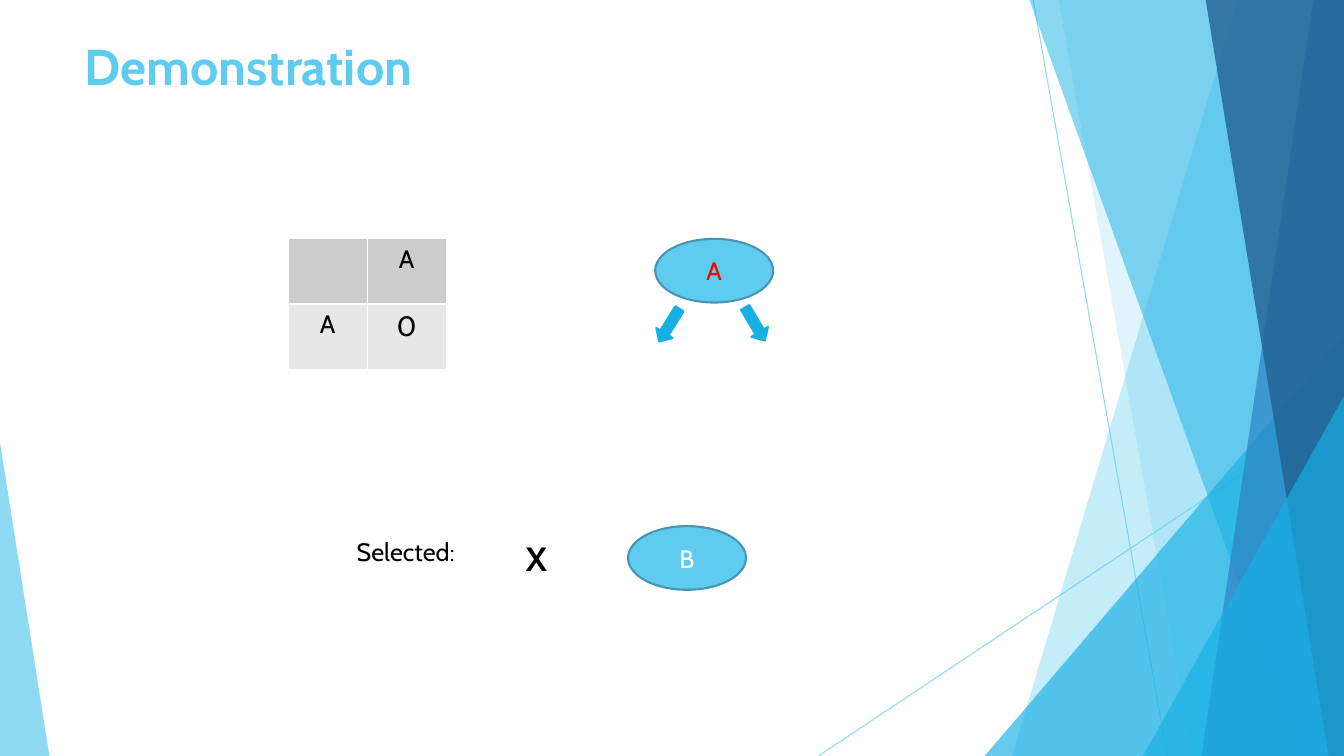
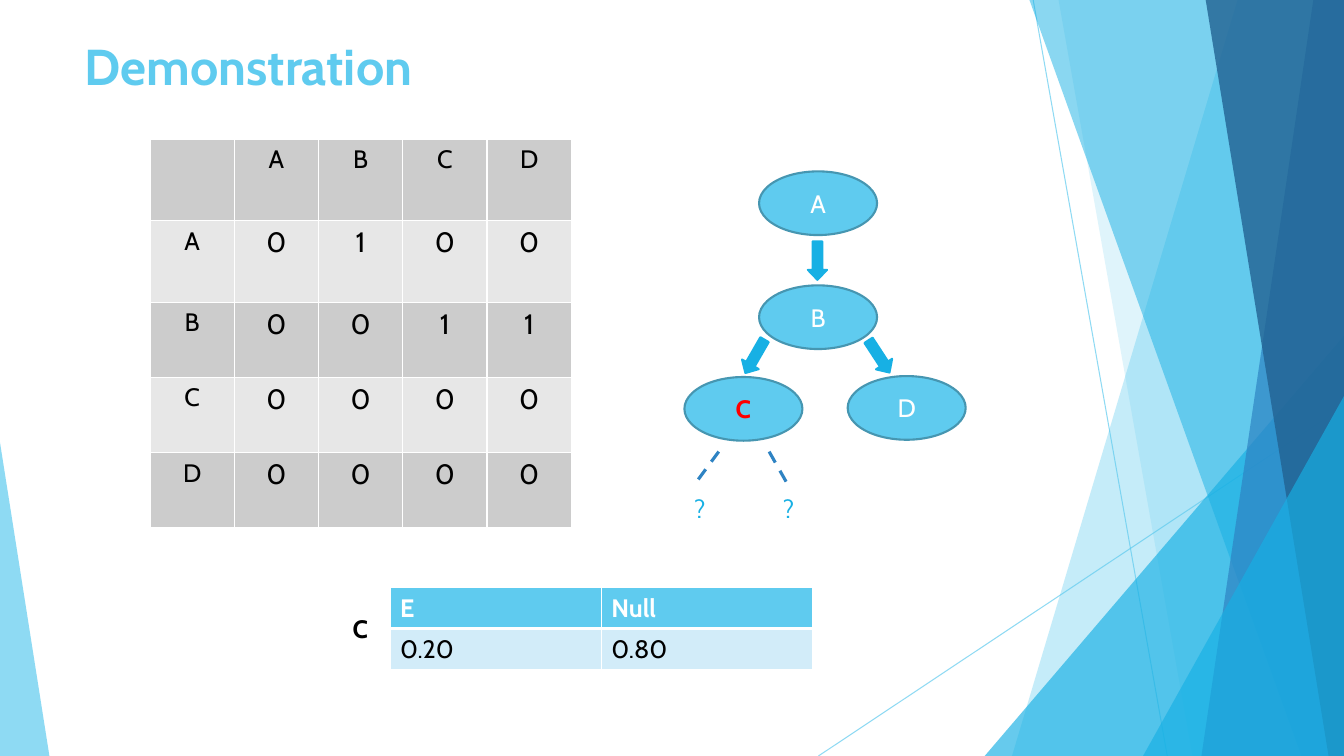
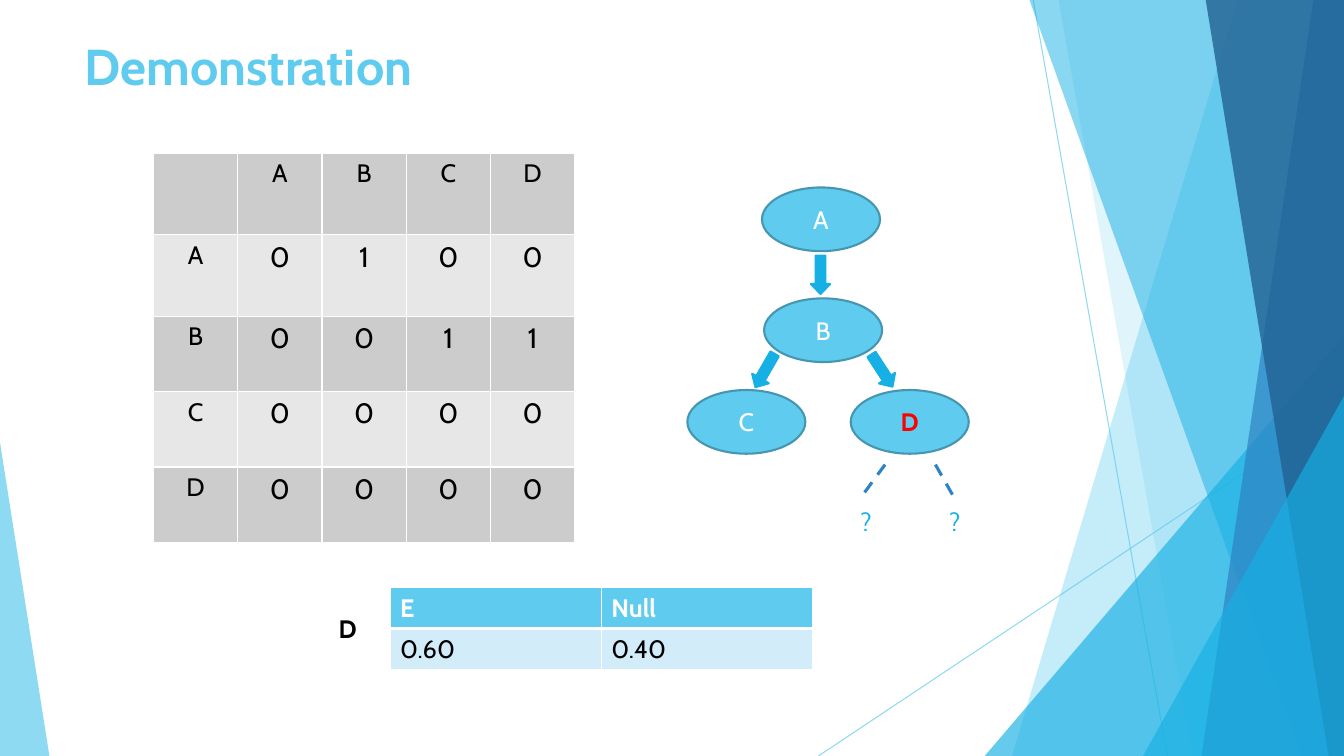
import pptx
import pptx.util
import pptx.dml.color
import pptx.enum.dml
import pptx.enum.shapes
import pptx.enum.text
import pptx.oxml
import pptx.oxml.ns
import lxml.etree

Pt = pptx.util.Pt
SHAPE = pptx.enum.shapes.MSO_SHAPE
ALIGN = pptx.enum.text.PP_ALIGN
ANCHOR = pptx.enum.text.MSO_ANCHOR
DASH = pptx.enum.dml.MSO_LINE
qn = pptx.oxml.ns.qn

WIDTH, HEIGHT = 960, 540
FONT = "Cabin"
COLORS = {
    "sky": "5FCBEF", "cyan": "17B0E4", "blue": "2E83C3", "navy": "226292",
    "outline": "4696B1", "dark_band": "CCCCCC", "light_band": "E7E7E7",
    "pale": "D2ECF9", "red": "FF0000", "black": "000000", "white": "FFFFFF",
}


def rgb(name):
    return pptx.dml.color.RGBColor.from_string(COLORS[name])


class Deck:
    """Holds the style and the current slide."""

    def __init__(self):
        self.prs = pptx.Presentation()
        self.prs.slide_width, self.prs.slide_height = Pt(WIDTH), Pt(HEIGHT)
        self.layout = self.prs.slide_layouts[5]
        self.has_backdrop = False

    def new_slide(self, title):
        self.s = self.prs.slides.add_slide(self.layout)
        if not self.has_backdrop:
            self.backdrop()
        sp = self.s.shapes.title
        sp.left, sp.top, sp.width, sp.height = Pt(53.3), Pt(21.6), Pt(676.8), Pt(103.7)
        self.put_text(sp.text_frame, title, 36, "sky", True, ALIGN.LEFT, ANCHOR.TOP)

    def put_text(self, tf, text, size, color, bold=False, align=ALIGN.LEFT, anchor=None):
        tf.text = text
        if anchor is not None:
            tf.vertical_anchor = anchor
        p = tf.paragraphs[0]
        p.alignment = align
        for r in p.runs:
            r.font.name, r.font.size, r.font.bold = FONT, Pt(size), bold
            r.font.color.rgb = rgb(color)

    def paint(self, sp, fill, line=None, alpha=None):
        sp.shadow.inherit = False
        sp.fill.solid()
        sp.fill.fore_color.rgb = rgb(fill)
        if line:
            sp.line.color.rgb = rgb(line)
            sp.line.width = Pt(1.5)
        else:
            sp.line.fill.background()
        if alpha:
            self.fade(sp, alpha)
        return sp

    def fade(self, sp, alpha):
        clr = sp.element.xpath(".//a:srgbClr")[0]
        lxml.etree.SubElement(clr, qn("a:alpha")).set("val", str(alpha * 1000))

    def line(self, x1, y1, x2, y2, color, width, dash=None):
        sp = self.s.shapes.add_connector(
            pptx.enum.shapes.MSO_CONNECTOR.STRAIGHT, Pt(x1), Pt(y1), Pt(x2), Pt(y2))
        sp.line.color.rgb = rgb(color)
        sp.line.width = Pt(width)
        if dash:
            sp.line.dash_style = dash
        lxml.etree.SubElement(sp.element.spPr, qn("a:effectLst"))
        return sp

    # Backdrop parts
    def shard(self, x_top, x_bottom, color, alpha):
        top = -0.7
        fb = self.s.shapes.build_freeform(Pt(x_top), Pt(top), scale=1.0)
        fb.add_line_segments([(Pt(x), Pt(y)) for x, y in
                              ((WIDTH, top), (WIDTH, HEIGHT), (x_bottom, HEIGHT))])
        return self.paint(fb.convert_to_shape(), color, alpha=alpha)

    def corner(self, x, y, w, apex, color, alpha):
        sp = self.s.shapes.add_shape(
            SHAPE.ISOSCELES_TRIANGLE, Pt(x), Pt(y), Pt(w), Pt(HEIGHT - y))
        sp.adjustments[0] = apex
        return self.paint(sp, color, alpha=alpha)

    def backdrop(self):
        """Draw the shared decoration and move it to the layout."""
        rays = [self.line(738, 0, 833.8, HEIGHT, "sky", 0.75),
                self.line(WIDTH, 290.2, 584.6, HEIGHT, "sky", 0.75)]
        for ray in rays:
            self.fade(ray, 70)
        parts = rays + [
            self.shard(884.2, 722.9, "sky", 36),
            self.shard(756, 851.8, "sky", 20),
            self.corner(703.4, 239.8, 256.6, 1, "cyan", 66),
            self.shard(735.1, 929.5, "cyan", 50),
            self.shard(938.2, 858.2, "blue", 70),
            self.shard(861.1, 949, "navy", 80),
            self.corner(816.5, 283, 143.5, 1, "cyan", 66),
            self.corner(0, 316.1, 35.3, 0, "sky", 70),
        ]
        tree = self.layout.shapes.element
        for i, sp in enumerate(parts):
            sp.element.xpath(".//p:cNvPr")[0].set("id", str(100 + i))
            tree.insert(2 + i, sp.element)
        self.has_backdrop = True

    # Content parts
    def node(self, x, y, text, selected=False, bold=False):
        sp = self.s.shapes.add_shape(SHAPE.OVAL, Pt(x), Pt(y), Pt(84.3), Pt(45.5))
        self.paint(sp, "sky", "outline")
        self.put_text(sp.text_frame, text, 18, "red" if selected else "white", bold,
                      ALIGN.CENTER, ANCHOR.MIDDLE)

    def arrow(self, x, y, rotation):
        sp = self.s.shapes.add_shape(SHAPE.LEFT_ARROW, Pt(x), Pt(y), Pt(27.4), Pt(13.7))
        sp.adjustments[1] = 0.52
        sp.rotation = rotation
        self.paint(sp, "cyan", "cyan")

    def label(self, x, y, w, h, text, size=18, color="black", bold=False, wrap=False):
        tf = self.s.shapes.add_textbox(Pt(x), Pt(y), Pt(w), Pt(h)).text_frame
        tf.word_wrap = wrap
        self.put_text(tf, text, size, color, bold)

    def table(self, x, y, col_width, row_heights, rows, style):
        """Fill a table; style(row, column) gives fill, bottom border and text format."""
        n = len(rows[0])
        tbl = self.s.shapes.add_table(len(rows), n, Pt(x), Pt(y), Pt(col_width * n),
                                      Pt(sum(row_heights))).table
        tbl.first_row = tbl.horz_banding = False
        for col in tbl.columns:
            col.width = Pt(col_width)
        for i, row in enumerate(rows):
            tbl.rows[i].height = Pt(row_heights[i])
            for j, text in enumerate(row):
                fill, bottom, text_format = style(i, j)
                cell = tbl.cell(i, j)
                self.borders(cell, bottom)
                cell.fill.solid()
                cell.fill.fore_color.rgb = rgb(fill)
                self.put_text(cell.text_frame, text, **text_format)

    def borders(self, cell, bottom):
        tcPr = cell._tc.get_or_add_tcPr()
        for side, width in (("L", 1), ("R", 1), ("T", 1), ("B", bottom)):
            ln = lxml.etree.SubElement(tcPr, qn("a:ln" + side), w=str(int(Pt(width))))
            fill = lxml.etree.SubElement(ln, qn("a:solidFill"))
            lxml.etree.SubElement(fill, qn("a:srgbClr"), val=COLORS["white"])

    def matrix(self, x, y, col_width, row_heights, names, values):
        """Adjacency matrix with node names along the top and the left."""
        def style(i, j):
            size = 20 if i and j else 18
            return (("light_band" if i % 2 else "dark_band"), 1,
                    dict(size=size, color="black", align=ALIGN.CENTER))
        rows = [["", *names]] + [[name, *line] for name, line in zip(names, values)]
        self.table(x, y, col_width, row_heights, rows, style)

    def chances(self, name, name_x, values):
        """Chance of each candidate child for the named node."""
        def style(i, j):
            if i == 0:
                return "sky", 3, dict(size=18, color="white", bold=True)
            return "pale", 1, dict(size=18, color="black")
        self.table(278.6, 419.8, 151, [29.2, 29.2], [["E", "Null"], values], style)
        self.label(name_x, 434.2, 26, 29, name, bold=True)

    def tree(self, nodes, arrows, selected):
        for name, (x, y) in nodes.items():
            self.node(x, y, name, name == selected, name == selected)
        for x, y, rotation in arrows:
            self.arrow(x, y, rotation)
        # Open branches below the selected node
        x, y = nodes[selected]
        for start, end, mark in ((24.5, 8.6, 0), (60.5, 72.7, 63.4)):
            self.line(x + start, y + 53.3, x + end, y + 74.9, "blue", 2.25, DASH.DASH)
            self.label(x + mark, y + 79.2, 21.6, 29, "?", color="cyan", wrap=True)


def main():
    deck = Deck()
    title = "Demonstration"

    # Start: a single node
    deck.new_slide(title)
    deck.matrix(205.9, 170.6, 56.4, [46.6, 46.6], "A", ["0"])
    deck.node(468, 170.6, "A", selected=True)
    deck.arrow(464.4, 225.4, 301.8)
    deck.arrow(525.6, 224.6, 239.5)
    deck.label(247.7, 379.4, 96.5, 29, "Selected:")
    deck.label(368.6, 380.9, 29, 36, "X", size=24, bold=True)
    deck.node(448.6, 375.8, "B")

    # Four nodes: choose a child for C, then for D
    steps = [
        dict(selected="C", matrix=(107.2, 99.4), name_x=244.8, values=["0.20", "0.80"],
             nodes={"A": (542.2, 122.4), "B": (542.2, 203.8),
                    "C": (488.9, 269.3), "D": (605.5, 268.6)},
             arrows=[(570.2, 179.3, 270), (614.2, 247.7, 236.9), (525.6, 247.7, 299.9)]),
        dict(selected="D", matrix=(109.6, 109.6), name_x=234.7, values=["0.60", "0.40"],
             nodes={"A": (544.3, 133.9), "B": (545.8, 213.1),
                    "C": (491, 278.6), "D": (607.7, 278.6)},
             arrows=[(572.4, 189.4, 270), (616.3, 257.8, 236.9), (532.8, 257.8, 299.9)]),
    ]
    links = ["0100", "0011", "0000", "0000"]
    for step in steps:
        deck.new_slide(title)
        deck.matrix(*step["matrix"], 60.2, [58.2] * 2 + [53.8] * 3, "ABCD", links)
        deck.tree(step["nodes"], step["arrows"], step["selected"])
        deck.chances(step["selected"], step["name_x"], step["values"])

    deck.prs.save("out.pptx")


if __name__ == "__main__":
    main()
